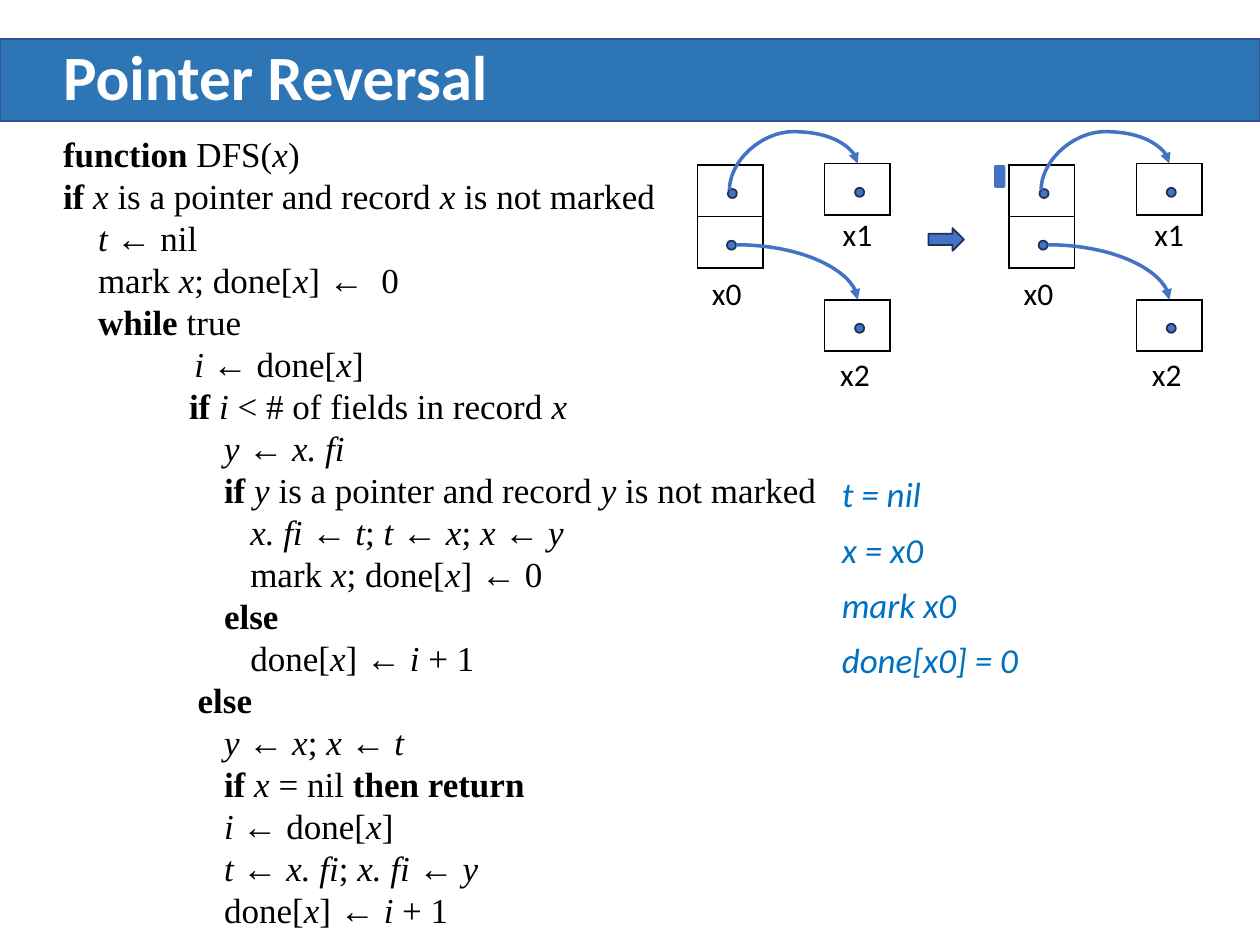
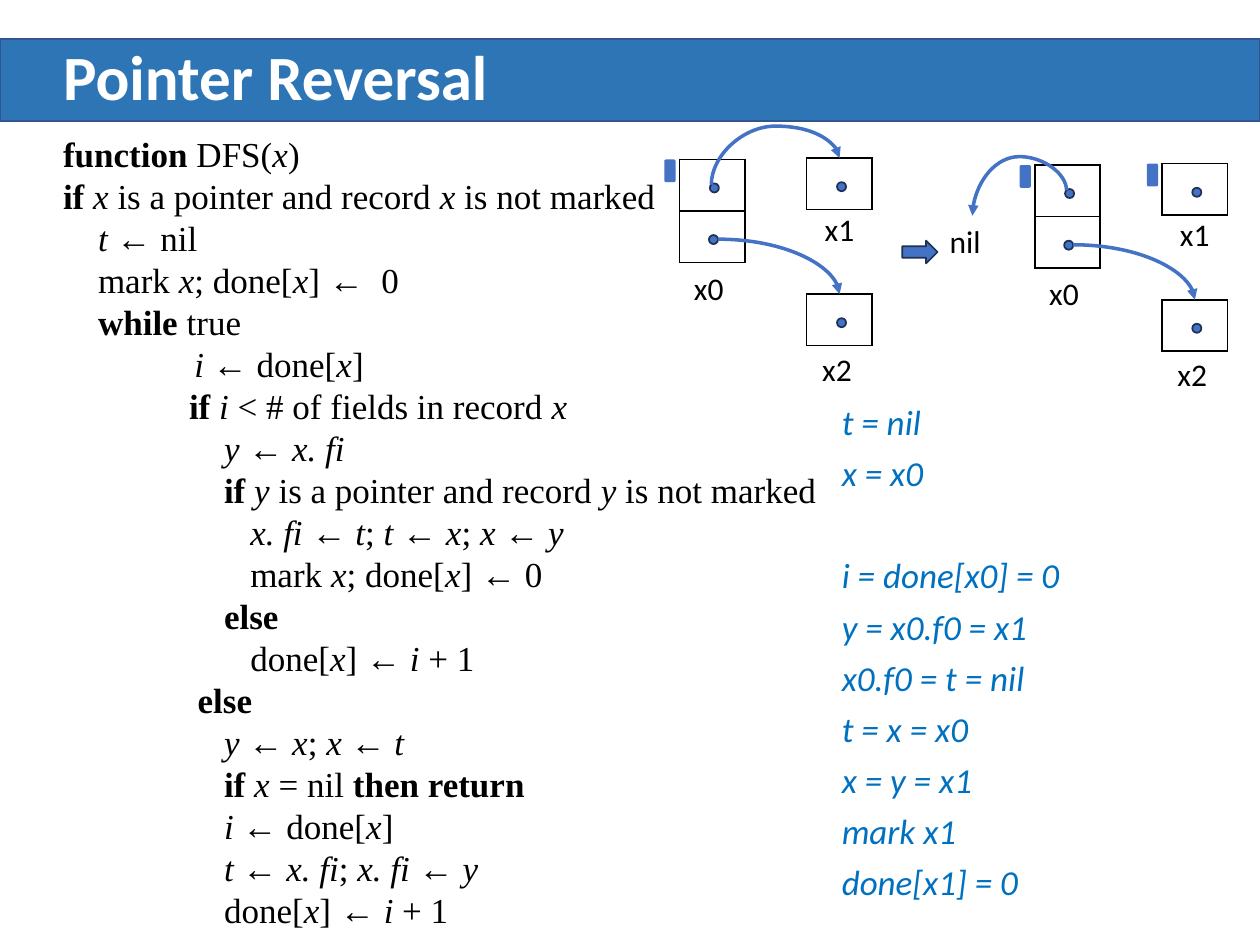
from typing import NamedTuple

from lxml.etree import SubElement
from pptx import Presentation
from pptx.dml.color import RGBColor
from pptx.enum.shapes import MSO_CONNECTOR, MSO_SHAPE
from pptx.enum.text import MSO_ANCHOR, MSO_AUTO_SIZE, PP_ALIGN
from pptx.oxml.ns import qn
from pptx.util import Pt

BAND, BAND_LINE = "2E75B6", "325491"
BLUE, DARK_BLUE = "4472C4", "1E3256"
TRACE_BLUE, BLACK, WHITE = "0070C0", "000000", "FFFFFF"
SANS, SERIF = "Calibri", "Times New Roman"

CELL_W, CELL_H = 37.4, 29.4
DOT = 5.2
LEVEL = 72  # indent of the loop body


class CodeLine(NamedTuple):
    indent: float
    text: str  # *bold*, _italic_


class Record(NamedTuple):
    """A memory record; positions are relative to the diagram's corner."""
    name: str
    x: float
    y: float
    label: tuple[float, float]
    dots: tuple[tuple[float, float], ...]


class Diagram(NamedTuple):
    x: float
    y: float
    marked: tuple[str, ...] = ()
    reversed_x0: bool = False


class Step(NamedTuple):
    """One slide: heap before and after, and the values traced."""
    diagrams: tuple[Diagram, Diagram]
    arrow: tuple[float, float]
    trace: tuple[str, ...]
    trace_top: float
    trace_height: float
    line_spacing: float
    gap_before: str = ""


CODE = [
    CodeLine(0, "*function* DFS(_x_)"),
    CodeLine(0, "*if* _x_ is a pointer and record _x_ is not marked"),
    CodeLine(20, "_t_ ← nil"),
    CodeLine(20, "mark _x_; done[_x_] ←  0"),
    CodeLine(20, "*while* true"),
    CodeLine(75, "_i_ ← done[_x_]"),
    CodeLine(LEVEL, "*if* _i_ < # of fields in record _x_"),
    CodeLine(LEVEL + 20, "_y_ ← _x. fi_"),
    CodeLine(LEVEL + 20, "*if* _y_ is a pointer and record _y_ is not marked"),
    CodeLine(LEVEL + 35, "_x. fi_ ← _t_; _t_ ← _x_; _x_ ← _y_"),
    CodeLine(LEVEL + 35, "mark _x_; done[_x_] ← 0"),
    CodeLine(LEVEL + 20, "*else*"),
    CodeLine(LEVEL + 35, "done[_x_] ← _i_ + 1"),
    CodeLine(LEVEL + 5, "*else*"),
    CodeLine(LEVEL + 20, "_y_ ← _x_; _x_ ← _t_"),
    CodeLine(LEVEL + 20, "*if* _x_ = nil *then return*"),
    CodeLine(LEVEL + 20, "_i_ ← done[_x_]"),
    CodeLine(LEVEL + 20, "_t_ ← _x. fi_; _x. fi_ ← _y_"),
    CodeLine(LEVEL + 20, "done[_x_] ← _i_ + 1"),
]

RECORDS = [
    Record("x0", 0, 0, (-2, 59), ((17.3, 13.7), (16.8, 43.2))),
    Record("x1", 72.7, -0.8, (72.7, 25.2), ((90, 13),)),
    Record("x2", 72.7, 77, (71.3, 105.2), ((90, 90.7),)),
]

STEPS = [
    Step((Diagram(398.6, 94.3), Diagram(576.7, 94.3, ("x0",))), (530.6, 130.3),
         ("t = nil", "x = x0", "mark x0", "done[x0] = 0"), 269.3, 142.6, 0.9),
    Step((Diagram(388.3, 91.1, ("x0",)), Diagram(591.3, 94.3, ("x0", "x1"), True)),
         (515.5, 137.5),
         ("t = nil", "x = x0", "i = done[x0] = 0", "y = x0.f0 = x1", "x0.f0 = t = nil",
          "t = x = x0", "x = y = x1", "mark x1", "done[x1] = 0"),
         229.7, 303.8, 0.8, gap_before="i = done[x0] = 0"),
]


def rgb(colour: str) -> RGBColor:
    return RGBColor.from_string(colour)


def style_run(r, font: str, size: float, colour: str, bold=False, italic=False) -> None:
    r.font.name, r.font.size = font, Pt(size)
    r.font.color.rgb = rgb(colour)
    r.font.bold, r.font.italic = bold, italic


def place(sp, x: float, y: float, w: float, h: float) -> None:
    sp.left, sp.top, sp.width, sp.height = Pt(x), Pt(y), Pt(w), Pt(h)


def add_preset(s, kind, x: float, y: float, w: float, h: float,
               fill: str = BLUE, line: str | None = DARK_BLUE):
    sp = s.shapes.add_shape(kind, Pt(x), Pt(y), Pt(w), Pt(h))
    sp.shadow.inherit = False
    sp.fill.solid()
    sp.fill.fore_color.rgb = rgb(fill)
    if line:
        sp.line.color.rgb = rgb(line)
        sp.line.width = Pt(1)
    else:
        sp.line.fill.background()
    return sp


def add_label(s, text: str, x: float, y: float, w: float = CELL_W,
              align=PP_ALIGN.CENTER) -> None:
    tf = s.shapes.add_textbox(Pt(x), Pt(y), Pt(w), Pt(29)).text_frame
    tf.word_wrap = True
    tf.text = text
    p = tf.paragraphs[0]
    p.alignment = align
    style_run(p.runs[0], SANS, 18, BLACK)


def add_cells(s, x: float, y: float, rows: int) -> None:
    table = s.shapes.add_table(rows, 1, Pt(x), Pt(y), Pt(CELL_W), Pt(rows * CELL_H)).table
    table.first_row = table.horz_banding = False
    for cell in table.iter_cells():
        tc_pr = cell._tc.get_or_add_tcPr()
        for side in ("a:lnL", "a:lnR", "a:lnT", "a:lnB"):
            ln = SubElement(tc_pr, qn(side), w=str(Pt(1)))
            SubElement(SubElement(ln, qn("a:solidFill")), qn("a:srgbClr"), val=BLACK)
        cell.fill.background()


def add_curve(s, start: tuple[float, float], end: tuple[float, float],
              bend: float | None = None) -> None:
    """Curved arrow; with a bend it leaves vertically, else horizontally."""
    (x1, y1), (x2, y2) = start, end
    if bend is not None:
        # A vertical start is a horizontal curve turned by a quarter.
        cx, cy = (x1 + x2) / 2, (y1 + y2) / 2
        half_w, half_h = abs(y2 - y1) / 2, abs(x2 - x1) / 2
        x1, y1, x2, y2 = cx + half_w, cy + half_h, cx - half_w, cy - half_h
    c = s.shapes.add_connector(MSO_CONNECTOR.CURVE, Pt(x1), Pt(y1), Pt(x2), Pt(y2))
    c.line.color.rgb = rgb(BLUE)
    c.line.width = Pt(2)
    sp_pr = c.element.spPr
    geom = sp_pr.find(qn("a:prstGeom"))
    if bend is None:
        geom.set("prst", "curvedConnector2")
    else:
        quarter_turns = 1 if end[0] > start[0] else 3
        sp_pr.find(qn("a:xfrm")).set("rot", str(quarter_turns * 5400000))
        SubElement(geom.find(qn("a:avLst")), qn("a:gd"),
                   name="adj1", fmla=f"val {round(bend * 100000)}")
    SubElement(sp_pr.find(qn("a:ln")), qn("a:tailEnd"), type="triangle")
    SubElement(sp_pr, qn("a:effectLst"))


def draw_diagram(s, d: Diagram) -> None:
    for rec in RECORDS:
        x, y = d.x + rec.x, d.y + rec.y
        add_cells(s, x, y, len(rec.dots))
        add_label(s, rec.name, d.x + rec.label[0], d.y + rec.label[1])
        for dx, dy in rec.dots:
            add_preset(s, MSO_SHAPE.OVAL, d.x + dx, d.y + dy, DOT, DOT)
        if rec.name in d.marked:
            add_preset(s, MSO_SHAPE.ROUNDED_RECTANGLE, x - 8.7, y, 6.5, 13, line=None)
    first_field = (d.x + 18.2, d.y + 14.5)
    if d.reversed_x0:
        add_curve(s, first_field, (d.x - 35.6, d.y + 29), -1.33)
        add_label(s, "nil", d.x - 55.7, d.y + 28.8, 40.3, PP_ALIGN.LEFT)
    else:
        add_curve(s, first_field, (d.x + 91.5, d.y - 0.8), 2.19)
    add_curve(s, (d.x + 22, d.y + 45.6), (d.x + 91.5, d.y + 77))


def fill_list(ph, lines: list[str], indents: list[float]) -> list:
    """Write unbulleted paragraphs into a body placeholder and return them."""
    tf = ph.text_frame
    tf.auto_size = MSO_AUTO_SIZE.NONE
    tf.text = "\n".join(lines)
    for p, indent in zip(tf.paragraphs, indents):
        p_pr = p._p.get_or_add_pPr()
        p_pr.set("marL", str(Pt(indent)))
        p_pr.set("indent", "0")
        SubElement(p_pr, qn("a:buNone"))
    return list(tf.paragraphs)


def write_code(ph) -> None:
    place(ph, 28.8, 72, 667.4, 468)
    paragraphs = fill_list(ph, [""] * len(CODE), [line.indent for line in CODE])
    for p, line in zip(paragraphs, CODE):
        p.space_before, p.line_spacing = Pt(0), Pt(24)
        for i, part in enumerate(line.text.split("*")):
            for j, piece in enumerate(part.split("_")):
                if piece:
                    r = p.add_run()
                    r.text = piece
                    style_run(r, SERIF, 20, BLACK, bold=i % 2 == 1, italic=j % 2 == 1)


def write_trace(ph, step: Step) -> None:
    place(ph, 473.8, step.trace_top, 158.4, step.trace_height)
    for p in fill_list(ph, list(step.trace), [0] * len(step.trace)):
        p.line_spacing = step.line_spacing
        p.space_before = Pt(39.4 if p.text == step.gap_before else 10)
        style_run(p.runs[0], SANS, 20, TRACE_BLUE, italic=True)


def write_title(ph, text: str) -> None:
    place(ph, 28.8, 22.3, 665.3, 46.8)
    tf = ph.text_frame
    tf.auto_size = MSO_AUTO_SIZE.NONE
    tf.vertical_anchor = MSO_ANCHOR.MIDDLE
    tf.text = text
    p = tf.paragraphs[0]
    p.alignment, p.line_spacing = PP_ALIGN.LEFT, 0.9
    style_run(p.runs[0], SANS, 36, WHITE, bold=True)


def add_layout_band(s, layout) -> None:
    """Draw the title band and move it behind everything in the layout."""
    band = add_preset(s, MSO_SHAPE.RECTANGLE, 0, 22.3, 720, 47, BAND, BAND_LINE)
    band.element.nvSpPr.cNvPr.set("id", "20")
    layout.shapes.element.insert(2, band.element)


def main() -> None:
    prs = Presentation()
    prs.slide_width, prs.slide_height = Pt(720), Pt(540)
    layout = prs.slide_layouts.get_by_name("Two Content")
    for number, step in enumerate(STEPS):
        s = prs.slides.add_slide(layout)
        if number == 0:
            add_layout_band(s, layout)
        title, code, trace = s.placeholders
        write_title(title, "Pointer Reversal")
        write_code(code)
        write_trace(trace, step)
        for diagram in step.diagrams:
            draw_diagram(s, diagram)
        add_preset(s, MSO_SHAPE.RIGHT_ARROW, *step.arrow, 20.2, 13)
    prs.save("out.pptx")


if __name__ == "__main__":
    main()
